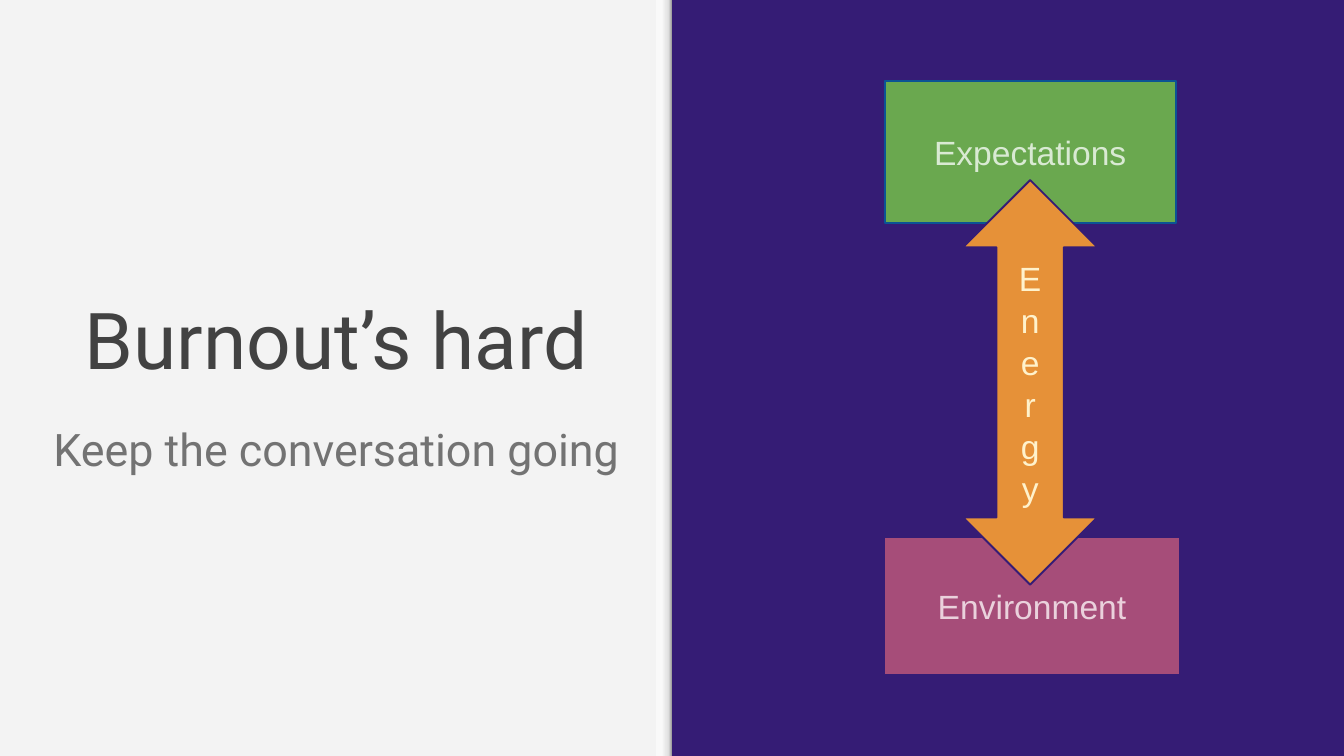
"""Build the closing slide on burnout, with energy between expectations and environment."""
import pptx
import pptx.dml.color
import pptx.enum.shapes
import pptx.enum.text
import pptx.oxml
import pptx.util

Pt = pptx.util.Pt
RGB = pptx.dml.color.RGBColor
SHAPE = pptx.enum.shapes.MSO_SHAPE
ANCHOR = pptx.enum.text.MSO_ANCHOR

PURPLE = RGB(0x35, 0x1C, 0x75)
PALE_GREY = RGB(0xF3, 0xF3, 0xF3)
DARK_GREY = RGB(0x42, 0x42, 0x42)
MID_GREY = RGB(0x73, 0x73, 0x73)
GREEN = RGB(0x6A, 0xA8, 0x4F)
PALE_GREEN = RGB(0xD9, 0xEA, 0xD3)
BLUE = RGB(0x0B, 0x53, 0x94)
PINK = RGB(0xA6, 0x4D, 0x79)
PALE_PINK = RGB(0xEA, 0xD1, 0xDC)
ORANGE = RGB(0xE6, 0x91, 0x38)
CREAM = RGB(0xFF, 0xF2, 0xCC)


def write(frame, text, font, size, color, anchor, margin):
    frame.text = text
    frame.word_wrap = True
    frame.auto_size = pptx.enum.text.MSO_AUTO_SIZE.NONE
    frame.vertical_anchor = anchor
    frame.margin_left = frame.margin_right = Pt(7.2)
    frame.margin_top = frame.margin_bottom = Pt(margin)
    for paragraph in frame.paragraphs:
        paragraph.alignment = pptx.enum.text.PP_ALIGN.CENTER
        for run in paragraph.runs:
            run.font.name = font
            run.font.size = Pt(size)
            run.font.color.rgb = color


def add_block(preset, box, fill, line=None):
    block = slide.shapes.add_shape(preset, *[Pt(length) for length in box])
    block.shadow.inherit = False
    block.fill.solid()
    block.fill.fore_color.rgb = fill
    if line is None:
        block.line.fill.background()
    else:
        block.line.color.rgb = line
        block.line.width = Pt(1)
    return block


deck = pptx.Presentation()
deck.slide_width, deck.slide_height = Pt(720), Pt(405)
slide = deck.slides.add_slide(deck.slide_layouts[5])
slide.background.fill.solid()
slide.background.fill.fore_color.rgb = PURPLE

add_block(SHAPE.RECTANGLE, (0, 0, 360, 405), PALE_GREY)
edge = add_block(SHAPE.RECTANGLE, (351.5, 0, 8.5, 405), PALE_GREY)
edge.fill.gradient()
edge.fill.gradient_angle = 0
stops = edge.fill.gradient_stops[0]._gs.getparent()
for stop in list(stops):
    stops.remove(stop)
for position, shade in ((0, "F9F9F9"), (36, "F9F9F9"), (80, "DEDEDE"), (100, "999999")):
    stops.append(pptx.oxml.parse_xml(
        '<a:gs xmlns:a="http://schemas.openxmlformats.org/drawingml/2006/main" '
        f'pos="{position * 1000}"><a:srgbClr val="{shade}"/></a:gs>'))

title = slide.shapes.title
title.left, title.top, title.width, title.height = Pt(20.9), Pt(97.1), Pt(318.5), Pt(116.7)
write(title.text_frame, "Burnout’s hard", "Roboto", 42, DARK_GREY, ANCHOR.BOTTOM, 7.2)
slide.shapes._spTree.append(title._element)

subtitle = slide.shapes.add_textbox(Pt(20.9), Pt(218.8), Pt(318.5), Pt(97.3))
write(subtitle.text_frame, "Keep the conversation going", "Roboto", 24, MID_GREY, ANCHOR.TOP, 7.2)

for label, preset, box, fill, line, color in (
    ("Expectations", SHAPE.RECTANGLE, (473.9, 43.3, 156, 76), GREEN, BLUE, PALE_GREEN),
    ("Environment", SHAPE.RECTANGLE, (473.9, 287.6, 158, 74), PINK, PURPLE, PALE_PINK),
    ("\n".join("Energy"), SHAPE.UP_DOWN_ARROW, (515.9, 96.5, 72, 216.7), ORANGE, PURPLE, CREAM),
):
    block = add_block(preset, box, fill, line)
    write(block.text_frame, label, "Arial", 18, color, ANCHOR.MIDDLE, 3.6)

block.adjustments[0] = block.adjustments[1] = 0.5
for letter in block.text_frame.paragraphs:
    letter.line_spacing = 1.04

deck.save("out.pptx")
